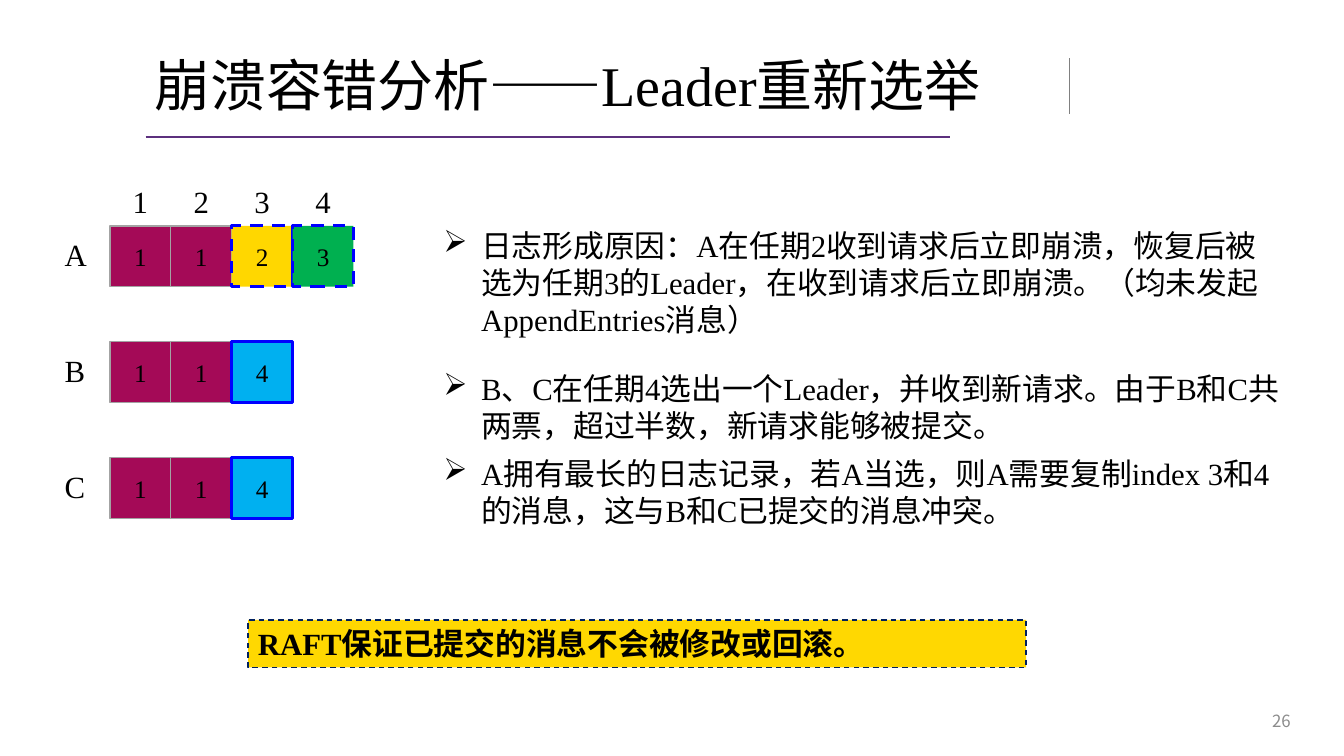
from lxml import etree
from pptx import Presentation
from pptx.dml.color import RGBColor
from pptx.enum import dml, shapes, text
from pptx.oxml import ns
from pptx.util import Pt

BLACK = RGBColor(0, 0, 0)
PAGE_GRAY = RGBColor(0x8C, 0x8C, 0x8C)
RULE_PURPLE = RGBColor(0x5C, 0x30, 0x7E)
RULE_GRAY = RGBColor(0x80, 0x80, 0x80)
CELL_GRAY = RGBColor(0xA3, 0xA3, 0xA3)
CELL_BLUE = RGBColor(0, 0, 0xFF)
NAVY = RGBColor(0, 0x20, 0x60)
BANNER_GOLD = RGBColor(0xFF, 0xD8, 0x01)
TERM_FILLS = {
    "1": RGBColor(0xA4, 0x0A, 0x57),
    "2": RGBColor(0xFF, 0xD7, 0),
    "3": RGBColor(0, 0xB0, 0x50),
    "4": RGBColor(0, 0xB0, 0xF0),
}
LATIN_FONT = "Times New Roman"
CJK_FONT = "Noto Sans CJK SC"
ALIGN = text.PP_ALIGN
ANCHOR = text.MSO_ANCHOR

LOGS = {"A": "1123", "B": "114", "C": "114"}
UNCOMMITTED = "23"
REASONS = [
    (158.4, 87, "日志形成原因：A在任期2收到请求后立即崩溃，恢复后被选为任期3的Leader，"
                "在收到请求后立即崩溃。（均未发起AppendEntries消息）"),
    (260.6, 60.5, "B、C在任期4选出一个Leader，并收到新请求。由于B和C共两票，"
                  "超过半数，新请求能够被提交。"),
    (321.1, 60.5, "A拥有最长的日志记录，若A当选，则A需要复制index 3和4的消息，"
                  "这与B和C已提交的消息冲突。"),
]


def write(shape, content, size=22, font=LATIN_FONT, color=BLACK, bold=False,
          align=ALIGN.LEFT, anchor=ANCHOR.TOP, spacing=1.0, bullet=None):
    frame = shape.text_frame
    frame.word_wrap = True
    frame.vertical_anchor = anchor
    paragraph = frame.paragraphs[0]
    paragraph.alignment = align
    paragraph.line_spacing = spacing
    if bullet:
        properties = paragraph._p.get_or_add_pPr()
        properties.set("marL", str(Pt(27)))
        properties.set("indent", str(-Pt(27)))
        etree.SubElement(properties, ns.qn("a:buChar")).set("char", bullet)
    run = paragraph.add_run()
    run.text = content
    run.font.size = Pt(size)
    run.font.name = font
    run.font.bold = bold
    run.font.color.rgb = color
    etree.SubElement(run._r.get_or_add_rPr(), ns.qn("a:ea")).set("typeface", CJK_FONT)


def add_label(slide, left, top, width, height, content, **formats):
    box = slide.shapes.add_textbox(Pt(left), Pt(top), Pt(width), Pt(height))
    write(box, content, **formats)


def add_box(slide, left, top, width, height, fill, line, weight, dashed, content, **formats):
    box = slide.shapes.add_shape(shapes.MSO_SHAPE.RECTANGLE,
                                 Pt(left), Pt(top), Pt(width), Pt(height))
    box.shadow.inherit = False
    box.fill.solid()
    box.fill.fore_color.rgb = fill
    box.line.color.rgb = line
    box.line.width = Pt(weight)
    if dashed:
        box.line.dash_style = dml.MSO_LINE.DASH
    write(box, content, **formats)


def add_rule(slide, x1, y1, x2, y2, color, weight):
    rule = slide.shapes.add_connector(shapes.MSO_CONNECTOR.STRAIGHT,
                                      Pt(x1), Pt(y1), Pt(x2), Pt(y2))
    rule.line.color.rgb = color
    rule.line.width = Pt(weight)
    etree.SubElement(rule._element.spPr, ns.qn("a:effectLst"))


def add_heading(slide, left, top, width, height):
    bottom = top + height
    add_rule(slide, left + 1, bottom, left + 575.5, bottom, RULE_PURPLE, 1.5)
    add_rule(slide, left + 661, top + 13, left + 661, top + 52.5, RULE_GRAY, 1)
    add_label(slide, left, top, width, height, "崩溃容错分析——Leader重新选举",
              size=40, anchor=ANCHOR.MIDDLE, spacing=0.9)


def add_logs(slide, left, top, cell=43.5, row_pitch=82.8):
    label_width, label_height = 29.5, 34
    inset = (cell - label_width) / 2

    # Log index above each column
    for column in range(max(map(len, LOGS.values()))):
        add_label(slide, left + column * cell + inset, top - 34.5, label_width, label_height,
                  str(column + 1), align=ALIGN.CENTER)

    # One row of terms for each server
    for row, (server, terms) in enumerate(LOGS.items()):
        row_top = top + row * row_pitch
        add_label(slide, left - 39.5, row_top + 3.5, label_width, label_height, server)
        for column, term in enumerate(terms):
            shared = term == "1"
            add_box(slide, left + column * cell, row_top, cell, cell, TERM_FILLS[term],
                    CELL_GRAY if shared else CELL_BLUE, 1 if shared else 2.25,
                    term in UNCOMMITTED, term,
                    size=18, align=ALIGN.CENTER, anchor=ANCHOR.MIDDLE)


def add_reasons(slide, left, width):
    for top, height, reason in REASONS:
        add_label(slide, left, top, width, height, reason, bullet="➢")


def add_banner(slide, left, top, width, height):
    add_box(slide, left, top, width, height, BANNER_GOLD, NAVY, 1, True,
            "RAFT保证已提交的消息不会被修改或回滚。", bold=True)


def main():
    presentation = Presentation()
    presentation.slide_width, presentation.slide_height = Pt(960), Pt(540)
    slide = presentation.slides.add_slide(presentation.slide_layouts[6])
    add_heading(slide, 103, 28.8, 647.3, 69.1)
    add_logs(slide, 78.5, 161.3)
    add_reasons(slide, 309.6, 615.6)
    add_banner(slide, 177.2, 442.8, 555.8, 34)
    # Page number
    add_label(slide, 713, 500.5, 216, 28.8, "26", size=12, font=CJK_FONT,
              color=PAGE_GRAY, align=ALIGN.RIGHT, anchor=ANCHOR.MIDDLE)
    presentation.save("out.pptx")


if __name__ == "__main__":
    main()
